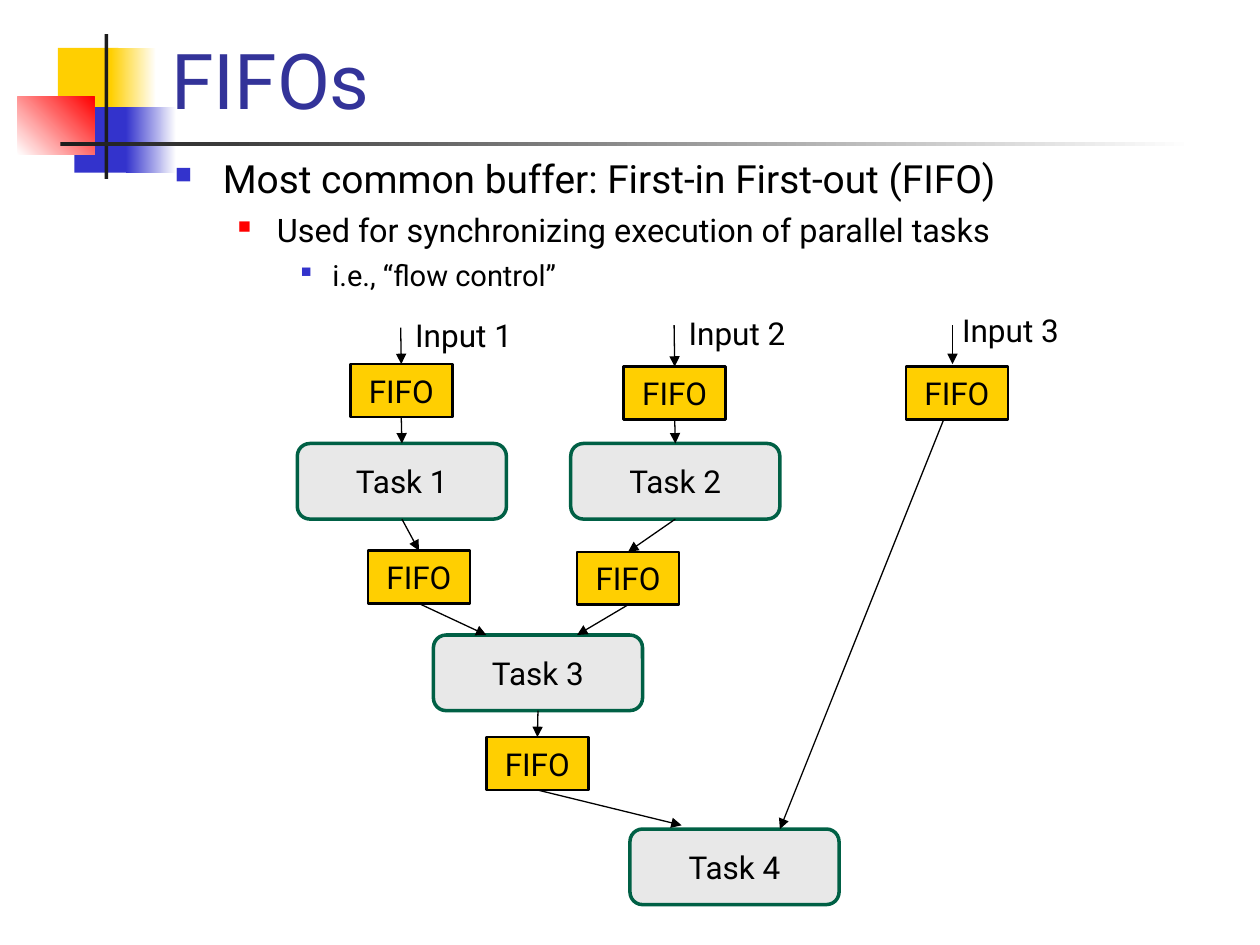
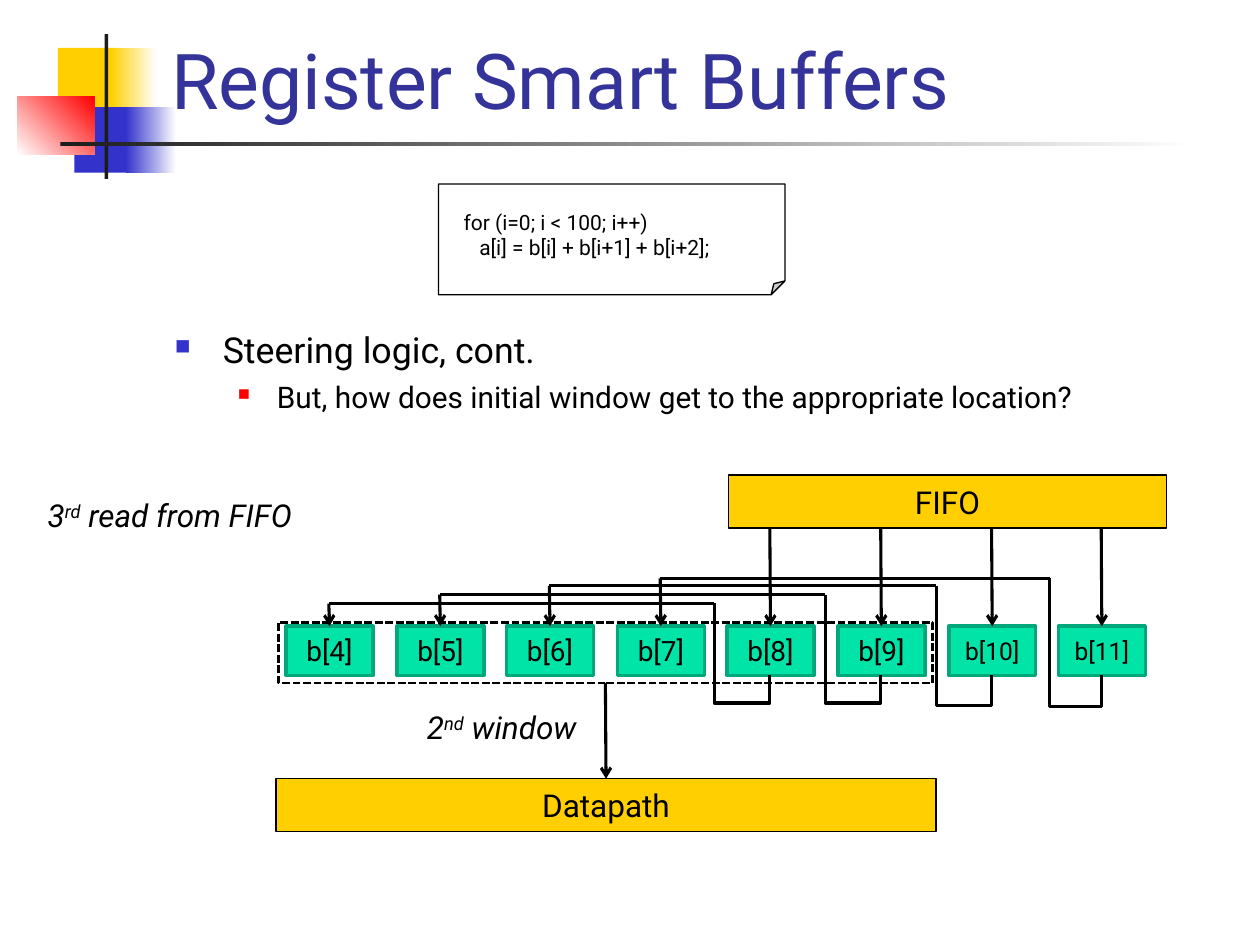
from dataclasses import dataclass
from typing import NamedTuple, Optional, Union

from lxml import etree
from pptx import Presentation
from pptx import util as u
from pptx.dml.color import RGBColor
from pptx.enum import dml, shapes, text
from pptx.oxml.ns import qn

PX = 9144  # 100 px to the inch
FONT = "Roboto"
COLORS = {
    "black": "000000", "white": "FFFFFF", "title": "333399", "rule": "1C1C1C",
    "yellow": "FFCF01", "blue": "3333CC", "red": "FF0000",
    "task": "E8E8E8", "task_edge": "006045",
    "register": "00E4A8", "register_edge": "00A77A",
}
GEOM = shapes.MSO_SHAPE
LEFT, CENTER = text.PP_ALIGN.LEFT, text.PP_ALIGN.CENTER
TOP, MIDDLE, BOTTOM = text.MSO_ANCHOR.TOP, text.MSO_ANCHOR.MIDDLE, text.MSO_ANCHOR.BOTTOM
BOTTOM_SITE, TOP_SITE = 2, 0


class Point(NamedTuple):
    x: int
    y: int


class Area(NamedTuple):
    x: int
    y: int
    w: int
    h: int

    def emu(self) -> list:
        return [u.Emu(v * PX) for v in self]


class Band(NamedTuple):
    area: Area
    color: str
    fade_to: Optional[str] = None
    angle: int = 0


class Level(NamedTuple):
    margin: int
    hanging: int
    before: float
    bullet_color: str
    bullet_percent: int


class Bullet(NamedTuple):
    words: str
    size: float


class Loop(NamedTuple):
    """Wire that leads a register back to the one four places to its left."""
    riser_x: int
    low_y: int
    track_y: int


@dataclass(frozen=True)
class BoxStyle:
    fill: Optional[str]
    edge: str
    edge_pt: float
    geom: int = GEOM.RECTANGLE
    dash: Optional[int] = None


@dataclass(frozen=True)
class WireStyle:
    width_pt: float
    head: str


TASK = BoxStyle("task", "task_edge", 2, GEOM.ROUNDED_RECTANGLE)
FIFO = BoxStyle("yellow", "black", 1.5)
BAR = BoxStyle("yellow", "black", 0.75)
REGISTER = BoxStyle("register", "register_edge", 2)
WINDOW = BoxStyle(None, "black", 1.5, dash=dml.MSO_LINE.SQUARE_DOT)
CODE = BoxStyle("white", "black", 0.75, GEOM.FOLDED_CORNER)
FLOW = WireStyle(0.75, "triangle")
SIGNAL = WireStyle(1.75, "arrow")

BANDS = [
    Band(Area(46, 38, 48, 52), "yellow"),
    Band(Area(88, 38, 36, 52), "yellow", "white"),
    Band(Area(59, 85, 46, 52), "blue"),
    Band(Area(100, 85, 40, 52), "blue", "white"),
    Band(Area(14, 77, 61, 46), "white", "red", 45),
    Band(Area(83, 27, 3, 115), "rule"),
    Band(Area(48, 113, 900, 3), "rule", "white"),
]
LEVELS = [Level(38, 38, 6, "blue", 60), Level(81, 31, 5, "red", 55),
          Level(125, 25, 4.5, "blue", 50)]


def rgb(name: str) -> RGBColor:
    return RGBColor.from_string(COLORS[name])


def set_guide(shape, name: str, value: int) -> None:
    """Set one adjustment of a preset outline, in 1/100000."""
    guides = shape._element.spPr.find(qn("a:prstGeom")).find(qn("a:avLst"))
    etree.SubElement(guides, qn("a:gd"), name=name, fmla=f"val {value}")


def format_runs(paragraph, size: float, color: str = "black", italic: bool = False) -> None:
    for run in paragraph.runs:
        run.font.size = u.Pt(size)
        run.font.name = FONT
        run.font.italic = italic
        run.font.color.rgb = rgb(color)


def set_frame(frame, anchor: int, insets: tuple = (10, 5, 10, 5)) -> None:
    frame.word_wrap = True
    frame.vertical_anchor = anchor
    (frame.margin_left, frame.margin_top,
     frame.margin_right, frame.margin_bottom) = [u.Emu(v * PX) for v in insets]


def write(frame, words: str, size: float, color: str = "black",
          align: int = CENTER) -> None:
    frame.text = words
    for paragraph in frame.paragraphs:
        paragraph.alignment = align
        format_runs(paragraph, size, color)


def add_box(slide, area: Area, style: BoxStyle, label: str = "", size: float = 18):
    box = slide.shapes.add_shape(style.geom, *area.emu())
    box.shadow.inherit = False
    if style.fill:
        box.fill.solid()
        box.fill.fore_color.rgb = rgb(style.fill)
    else:
        box.fill.background()
    box.line.color.rgb = rgb(style.edge)
    box.line.width = u.Pt(style.edge_pt)
    if style.dash:
        box.line.dash_style = style.dash
    set_frame(box.text_frame, MIDDLE)
    if label:
        write(box.text_frame, label, size)
    return box


def add_band(slide, band: Band) -> None:
    shape = slide.shapes.add_shape(GEOM.RECTANGLE, *band.area.emu())
    shape.shadow.inherit = False
    shape.line.fill.background()
    if band.fade_to is None:
        shape.fill.solid()
        shape.fill.fore_color.rgb = rgb(band.color)
        return
    shape.fill.gradient()
    shape.fill.gradient_angle = band.angle
    for stop, name in zip(shape.fill.gradient_stops, (band.color, band.fade_to)):
        stop.color.rgb = rgb(name)


def add_titled_slide(deck, title: str):
    slide = deck.slides.add_slide(deck.slide_layouts[6])
    for band in BANDS:
        add_band(slide, band)
    frame = slide.shapes.add_textbox(*Area(126, 0, 852, 102).emu()).text_frame
    set_frame(frame, BOTTOM, (10, 5, 10, 3))
    write(frame, title, 44, "title", LEFT)
    return slide


def add_bullets(slide, area: Area, bullets: list) -> None:
    frame = slide.shapes.add_textbox(*area.emu()).text_frame
    set_frame(frame, TOP, (10, 7, 10, 5))
    for depth, (bullet, level) in enumerate(zip(bullets, LEVELS)):
        paragraph = frame.add_paragraph() if depth else frame.paragraphs[0]
        paragraph.text = bullet.words
        paragraph.level = depth
        props = paragraph._p.get_or_add_pPr()
        props.set("marL", str(level.margin * PX))
        props.set("indent", str(-level.hanging * PX))
        tint = etree.SubElement(props, qn("a:buClr"))
        etree.SubElement(tint, qn("a:srgbClr"), val=COLORS[level.bullet_color])
        etree.SubElement(props, qn("a:buSzPct"), val=str(level.bullet_percent * 1000))
        etree.SubElement(props, qn("a:buChar"), char="■")
        if depth:
            paragraph.space_before = u.Pt(level.before)
        format_runs(paragraph, bullet.size)


def add_ordinal_note(slide, area: Area, number: str, suffix: str, rest: str) -> None:
    """Italic note that opens with an ordinal whose suffix is raised."""
    frame = slide.shapes.add_textbox(*area.emu()).text_frame
    set_frame(frame, TOP)
    paragraph = frame.paragraphs[0]
    for words in (number, suffix, rest):
        paragraph.add_run().text = words
    format_runs(paragraph, 18, italic=True)
    paragraph.runs[1]._r.get_or_add_rPr().set("baseline", "30000")


def finish_wire(wire, style: WireStyle, headed: bool) -> None:
    wire.line.color.rgb = rgb("black")
    wire.line.width = u.Pt(style.width_pt)
    props = wire._element.spPr
    if headed:
        etree.SubElement(props.find(qn("a:ln")), qn("a:tailEnd"), type=style.head)
    etree.SubElement(props, qn("a:effectLst"))


def add_wire(slide, start: Union[Point, object], end: Union[Point, object],
             style: WireStyle, headed: bool = True) -> None:
    """Straight line; a box as start or end is joined at its bottom or top."""
    ends = [p if isinstance(p, Point) else Point(0, 0) for p in (start, end)]
    wire = slide.shapes.add_connector(
        shapes.MSO_CONNECTOR.STRAIGHT, *[u.Emu(v * PX) for p in ends for v in p])
    if not isinstance(start, Point):
        wire.begin_connect(start, BOTTOM_SITE)
    if not isinstance(end, Point):
        wire.end_connect(end, TOP_SITE)
    finish_wire(wire, style, headed)


def add_hook(slide, start: Point, end: Point, low_y: int) -> None:
    """Elbow that drops from start to low_y, runs left and climbs to end."""
    climb, run = start.y - end.y, start.x - end.x
    mid_x, mid_y = (start.x + end.x) / 2, (start.y + end.y) / 2
    corners = (mid_x - climb / 2, mid_y + run / 2, mid_x + climb / 2, mid_y - run / 2)
    hook = slide.shapes.add_connector(
        shapes.MSO_CONNECTOR.ELBOW, *[u.Emu(int(v * PX)) for v in corners])
    hook._element.spPr.find(qn("a:xfrm")).set("rot", str(270 * 60000))
    set_guide(hook, "adj1", round((start.y - low_y) / climb * 100000))
    finish_wire(hook, SIGNAL, headed=False)


def build_fifos(deck) -> None:
    slide = add_titled_slide(deck, "FIFOs")
    add_bullets(slide, Area(129, 116, 850, 125), [
        Bullet("Most common buffer: First-in First-out (FIFO)", 22.2),
        Bullet("Used for synchronizing execution of parallel tasks", 18.5),
        Bullet("i.e., “flow control”", 16.6),
    ])
    task_corners = [Point(236, 352), Point(453, 352), Point(344, 504), Point(500, 658)]
    task1, task2, task3, _ = [
        add_box(slide, Area(*corner, 166, 60), TASK, f"Task {number}")
        for number, corner in enumerate(task_corners, 1)]
    fifo_corners = [Point(278, 289), Point(495, 291), Point(719, 291),
                    Point(292, 437), Point(458, 438), Point(386, 585)]
    input1, input2, _, after1, after2, after3 = [
        add_box(slide, Area(*corner, 81, 42), FIFO, "FIFO") for corner in fifo_corners]
    for start, end in [
        (Point(318, 260), input1), (Point(535, 258), input2),
        (Point(756, 258), Point(756, 289)),
        (input1, task1), (input2, task2), (task1, after1), (task2, after2),
        (after1, Point(386, 504)), (after2, Point(458, 504)),
        (task3, after3), (after3, Point(541, 655)),
        (Point(749, 333), Point(619, 658)),
    ]:
        add_wire(slide, start, end, FLOW)
    for index in range(3):
        area = Area(285 + 217 * index, 247 - 2 * index, 166, 38)
        frame = slide.shapes.add_textbox(*area.emu()).text_frame
        set_frame(frame, MIDDLE)
        write(frame, f"Input {index + 1}", 18)


def build_smart_buffers(deck) -> None:
    slide = add_titled_slide(deck, "Register Smart Buffers")
    add_bullets(slide, Area(129, 253, 850, 98), [
        Bullet("Steering logic, cont.", 20.4),
        Bullet("But, how does initial window get to the appropriate location?", 17),
    ])
    code = add_box(slide, Area(348, 146, 275, 88), CODE)
    set_guide(code, "adj", 12500)
    set_frame(code.text_frame, TOP, (20, 20, 0, 0))
    write(code.text_frame,
          "for (i=0; i < 100; i++)\n   a[i] = b[i] + b[i+1] + b[i+2];", 12, align=LEFT)

    areas = [Area(round(227 + 87.6 * i), 497, 69, 39) for i in range(8)]
    registers = [add_box(slide, area, REGISTER, f"b[{i}]", 16 if i < 10 else 14)
                 for i, area in enumerate(areas, 4)]
    centers = [area.x + area.w // 2 for area in areas]
    loops = [Loop(567, 558, 479), Loop(655, 558, 472),
             Loop(743, 560, 465), Loop(833, 561, 459)]
    for index, loop in enumerate(loops):
        source_x, target_x = centers[index + 4], centers[index]
        riser_top = Point(loop.riser_x, loop.track_y)
        add_hook(slide, Point(source_x, 536), riser_top, loop.low_y)
        turn = Point(target_x, loop.track_y)
        add_wire(slide, riser_top, turn, SIGNAL, headed=False)
        add_wire(slide, turn, registers[index], SIGNAL)
        add_wire(slide, Point(source_x, 419), registers[index + 4], SIGNAL)

    add_box(slide, Area(578, 377, 348, 42), BAR, "FIFO")
    window = add_box(slide, Area(221, 494, 519, 48), WINDOW)
    datapath = add_box(slide, Area(219, 618, 524, 42), BAR, "Datapath")
    add_wire(slide, window, datapath, SIGNAL)
    add_ordinal_note(slide, Area(28, 389, 261, 40), "3", "rd", " read from FIFO")
    add_ordinal_note(slide, Area(329, 557, 152, 40), "2", "nd", " window")


def main() -> None:
    deck = Presentation()
    deck.slide_width, deck.slide_height = u.Emu(1000 * PX), u.Emu(750 * PX)
    build_fifos(deck)
    build_smart_buffers(deck)
    deck.save("out.pptx")


if __name__ == "__main__":
    main()
